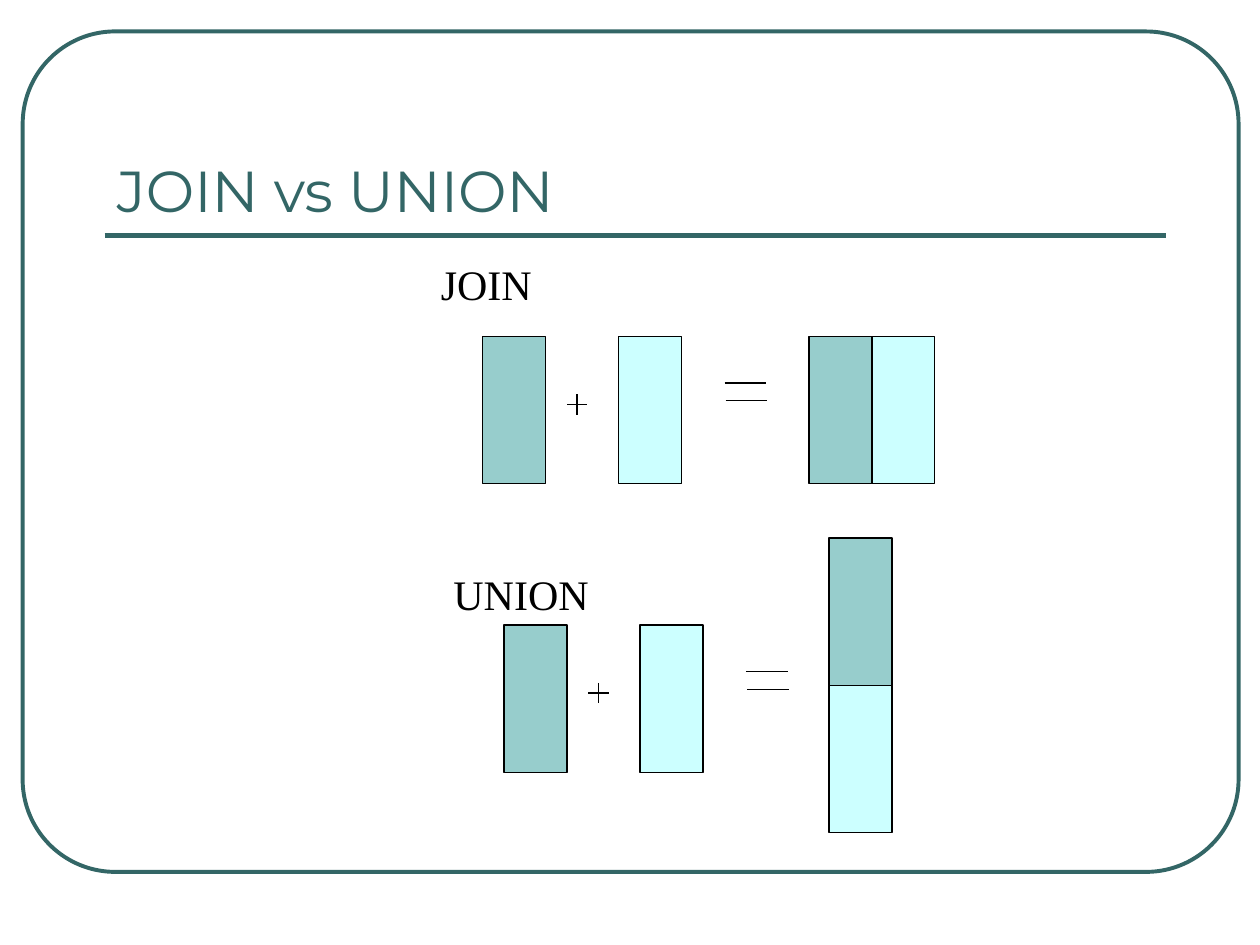
from dataclasses import dataclass

from lxml import etree
from pptx import Presentation
from pptx.dml.color import RGBColor
from pptx.enum.shapes import MSO_CONNECTOR as Connector, MSO_SHAPE as Shape
from pptx.enum.text import MSO_ANCHOR as Anchor, MSO_AUTO_SIZE as AutoSize
from pptx.oxml.ns import qn
from pptx.util import Inches, Pt


@dataclass(frozen=True)
class Theme:
    accent: RGBColor = RGBColor(0x33, 0x66, 0x66)
    ink: RGBColor = RGBColor(0, 0, 0)
    first_table: RGBColor = RGBColor(0x97, 0xCD, 0xCC)
    second_table: RGBColor = RGBColor(0xCC, 0xFF, 0xFF)
    title_font: str = "Montserrat"
    label_font: str = "Times New Roman"
    title_size: float = 33
    label_size: float = 24
    thin: float = 0.75
    frame: float = 2.25
    rule: float = 3


TABLE_WIDTH, TABLE_HEIGHT = 0.5, 1.17


def write_text(text_frame, text, *, font, size, color, wrap=False,
               anchor=Anchor.TOP, auto_size=AutoSize.NONE):
    text_frame.word_wrap = wrap
    text_frame.auto_size = auto_size
    text_frame.vertical_anchor = anchor
    paragraph = text_frame.paragraphs[0]
    paragraph.text = text
    paragraph.font.name = font
    paragraph.font.size = Pt(size)
    paragraph.font.color.rgb = color


class Canvas:
    def __init__(self, slide, theme):
        self.slide = slide
        self.theme = theme

    def box(self, left, top, width, height, *, fill=None, line=None,
            weight=None, kind=Shape.RECTANGLE):
        shape = self.slide.shapes.add_shape(
            kind, Inches(left), Inches(top), Inches(width), Inches(height))
        shape.shadow.inherit = False
        if fill is None:
            shape.fill.background()
        else:
            shape.fill.solid()
            shape.fill.fore_color.rgb = fill
        shape.line.color.rgb = line or self.theme.ink
        shape.line.width = Pt(weight or self.theme.thin)
        return shape

    def line(self, x1, y1, x2, y2, *, color=None, weight=None):
        connector = self.slide.shapes.add_connector(
            Connector.STRAIGHT, Inches(x1), Inches(y1), Inches(x2), Inches(y2))
        connector.line.color.rgb = color or self.theme.ink
        connector.line.width = Pt(weight or self.theme.thin)
        properties = connector._element.spPr
        etree.SubElement(properties, qn("a:effectLst"))

    def text(self, left, top, width, height, text, **text_format):
        shape = self.slide.shapes.add_textbox(
            Inches(left), Inches(top), Inches(width), Inches(height))
        write_text(shape.text_frame, text, **text_format)

    def label(self, left, top, width, text):
        self.text(left, top, width, 0.5, text, font=self.theme.label_font,
                  size=self.theme.label_size, color=self.theme.ink,
                  auto_size=AutoSize.SHAPE_TO_FIT_TEXT)

    def table_pair(self, left, top, step_x, step_y):
        """Draw the two tables, the second one a step away from the first."""
        fills = (self.theme.first_table, self.theme.second_table)
        for index, fill in enumerate(fills):
            self.box(left + index * step_x, top + index * step_y,
                     TABLE_WIDTH, TABLE_HEIGHT, fill=fill)

    def plus(self, x, y, arm=0.08):
        self.line(x, y - arm, x, y + arm)
        self.line(x - arm, y, x + arm, y)

    def equals(self, left, top):
        for shift_x, shift_y in ((0, 0), (0.01, 0.14)):
            self.line(left + shift_x, top + shift_y,
                      left + shift_x + 0.33, top + shift_y)

    def equation(self, left, top):
        self.table_pair(left, top, 1.08, 0)
        self.plus(left + 0.75, top + 0.54)
        self.equals(left + 1.92, top + 0.37)


def main():
    presentation = Presentation()
    presentation.slide_width = Inches(10)
    presentation.slide_height = Inches(7.5)
    theme = Theme()
    slide = presentation.slides.add_slide(presentation.slide_layouts[6])
    canvas = Canvas(slide, theme)

    frame = canvas.box(0.18, 0.25, 9.65, 6.67, line=theme.accent,
                       weight=theme.frame, kind=Shape.ROUNDED_RECTANGLE)
    frame.adjustments[0] = 0.11
    canvas.line(0.83, 1.87, 9.25, 1.87, color=theme.accent, weight=theme.rule)
    canvas.text(0.83, 0.58, 8.42, 1.25, "JOIN vs UNION",
                font=theme.title_font, size=theme.title_size,
                color=theme.accent, wrap=True, anchor=Anchor.BOTTOM)

    canvas.label(3.4, 2, 0.93, "JOIN")
    canvas.equation(3.83, 2.67)
    canvas.table_pair(6.42, 2.67, TABLE_WIDTH, 0)

    canvas.label(3.5, 4.46, 1.3, "UNION")
    canvas.equation(4, 4.96)
    canvas.table_pair(6.58, 4.27, 0, TABLE_HEIGHT)

    presentation.save("out.pptx")


if __name__ == "__main__":
    main()
